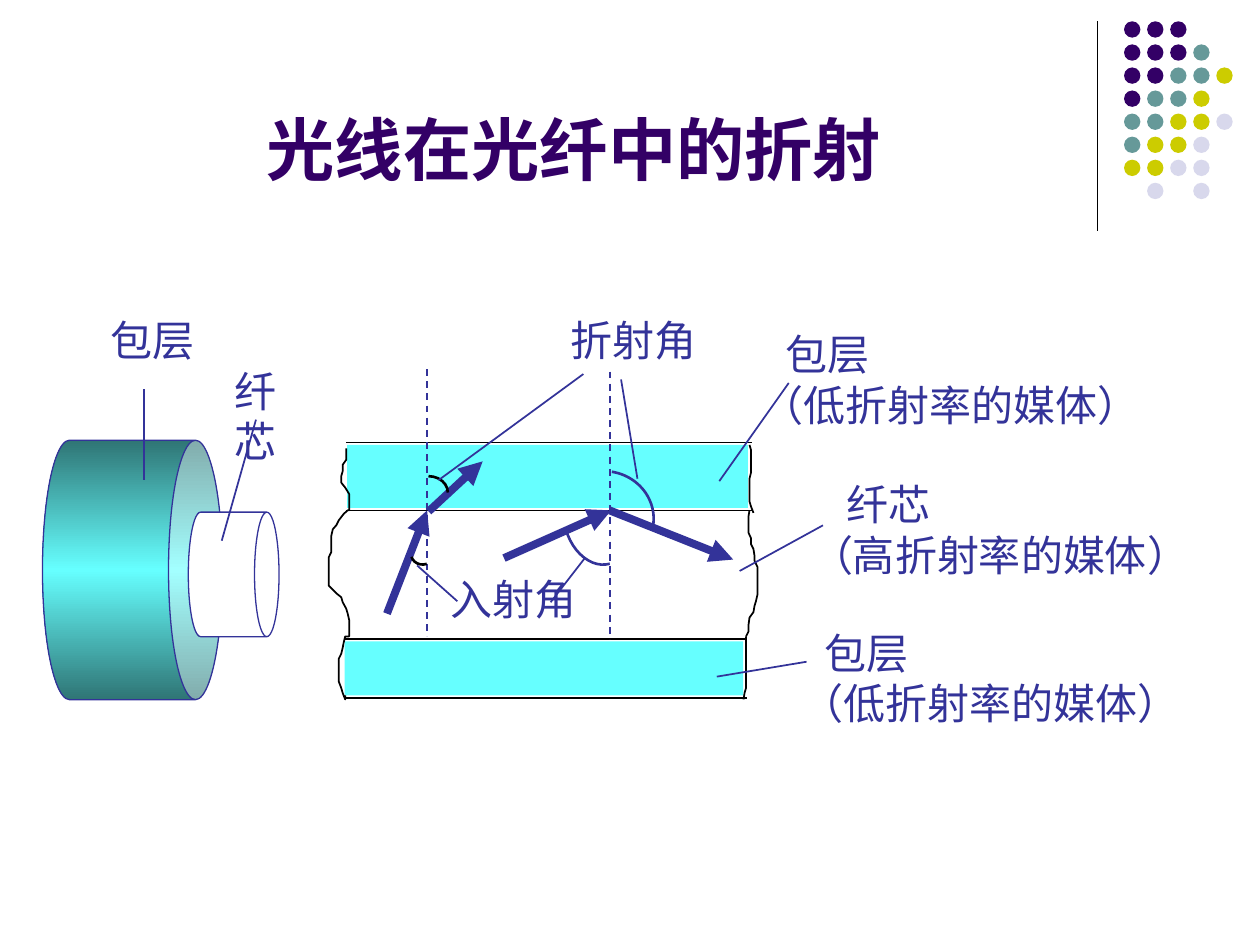
from copy import deepcopy

from pptx import Presentation
from pptx import util as u
from pptx.dml.color import RGBColor
from pptx.enum import dml, shapes, text
from pptx.oxml.ns import qn
from pptx.oxml.xmlchemy import OxmlElement

BLACK = RGBColor(0x00, 0x00, 0x00)
WHITE = RGBColor(0xFF, 0xFF, 0xFF)
PURPLE = RGBColor(0x33, 0x00, 0x66)
TEAL = RGBColor(0x66, 0x99, 0x99)
OLIVE = RGBColor(0xCC, 0xCC, 0x00)
LAVENDER = RGBColor(0xD8, 0xD8, 0xEC)
INDIGO = RGBColor(0x33, 0x33, 0x99)
CYAN = RGBColor(0x66, 0xFF, 0xFF)
DARK_CYAN = RGBColor(0x2F, 0x75, 0x75)

DOT_COLORS = {"P": PURPLE, "T": TEAL, "Y": OLIVE, "L": LAVENDER}
DOT_ROWS = ["PPP", "PPPT", "PPTTY", "PTTY", "TTYYL", "TYYL", "YYLL", "-L-L"]
DOT_PITCH = 1.86 / 4

LEFT_EDGE = [
    (0.38, 2.84), (0.38, 3.07), (0.31, 3.17), (0.31, 3.3), (0.28, 3.4), (0.28, 3.53),
    (0.36, 3.63), (0.44, 3.76), (0.44, 4.09), (0.41, 4.09), (0.33, 4.16), (0.23, 4.29),
    (0.18, 4.39), (0.11, 4.47), (0.08, 4.6), (0.08, 4.93), (0.03, 5.03), (0.03, 5.61),
    (0.11, 5.69), (0.18, 5.76), (0.28, 5.84), (0.31, 5.94), (0.38, 6.07), (0.41, 6.17),
    (0.44, 6.3), (0.44, 6.63), (0.36, 6.63), (0.33, 6.75), (0.31, 6.86), (0.28, 6.98),
    (0.23, 7.08), (0.23, 7.54), (0.28, 7.67), (0.31, 7.77), (0.36, 7.9), (0.36, 7.82)]
RIGHT_EDGES = [
    [(8.51, 2.77), (8.54, 2.87), (8.54, 3.33), (8.51, 3.45), (8.51, 3.91), (8.54, 4.01),
     (8.59, 4.14)],
    [(8.51, 4.09), (8.49, 4.21), (8.49, 4.54), (8.54, 4.65), (8.54, 4.77), (8.59, 4.87),
     (8.61, 5), (8.61, 5.1), (8.67, 5.23), (8.67, 5.79), (8.64, 5.92), (8.61, 6.02),
     (8.59, 6.14), (8.51, 6.25), (8.49, 6.4), (8.49, 6.53), (8.44, 6.63)],
    [(8.44, 6.63), (8.44, 7.67), (8.41, 7.77), (8.39, 7.9)]]


def place(box, point):
    """Turn a point in cm within a box into slide lengths."""
    return u.Cm(box[0] + point[0]), u.Cm(box[1] + point[1])


def style(shape, fill=None, line=None, width=0.75):
    shape.shadow.inherit = False
    if fill is None:
        shape.fill.background()
    else:
        shape.fill.solid()
        shape.fill.fore_color.rgb = fill
    if line is None:
        shape.line.fill.background()
    else:
        shape.line.color.rgb = line
        shape.line.width = u.Pt(width)


def add_shape(slide, kind, box, point, width, height):
    return slide.shapes.add_shape(kind, *place(box, point), u.Cm(width), u.Cm(height))


def add_centred(slide, kind, box, centre, width, height, rotation):
    corner = centre[0] - width / 2, centre[1] - height / 2
    shape = add_shape(slide, kind, box, corner, width, height)
    shape.rotation = rotation
    return shape


def add_line(slide, box, start, end, color=INDIGO, width=1, dashed=False, arrow=False):
    line = slide.shapes.add_connector(
        shapes.MSO_CONNECTOR.STRAIGHT, *place(box, start), *place(box, end))
    line.line.color.rgb = color
    line.line.width = u.Pt(width)
    if dashed:
        line.line.dash_style = dml.MSO_LINE.DASH
    if arrow:
        tail = OxmlElement("a:tailEnd")
        tail.set("type", "triangle")
        line.line._get_or_add_ln().append(tail)
    line._element.spPr.append(OxmlElement("a:effectLst"))


def add_outline(slide, box, points):
    start, *others = [place(box, point) for point in points]
    builder = slide.shapes.build_freeform(*start)
    builder.add_line_segments(others, close=False)
    style(builder.convert_to_shape(), line=BLACK, width=1)


def add_text(slide, box, point, width, height, lines, size=24, color=INDIGO, indent=0):
    """Add a text box, one paragraph a line; indent moves the first line in."""
    text_box = slide.shapes.add_textbox(*place(box, point), u.Cm(width), u.Cm(height))
    frame = text_box.text_frame
    frame.word_wrap = True
    for number, line in enumerate(lines):
        paragraph = frame.add_paragraph() if number else frame.paragraphs[0]
        if indent and not number:
            paragraph._p.get_or_add_pPr().set("marL", str(u.Cm(indent)))
        run = paragraph.add_run()
        run.text = line
        run.font.name = "Arial"
        run.font.size = u.Pt(size)
        run.font.color.rgb = color
    return frame


def add_title(slide, box):
    frame = add_text(slide, box, (0, 0), 20.96, 3.61, ["光线在光纤中的折射"], 39, PURPLE)
    frame.vertical_anchor = text.MSO_ANCHOR.BOTTOM
    paragraph = frame.paragraphs[0]
    paragraph.alignment = text.PP_ALIGN.CENTER
    paragraph.runs[0].font.bold = True


def add_dot_corner(slide, box):
    add_line(slide, box, (0, 0), (0, 4.22), BLACK, 0.75)
    for row, codes in enumerate(DOT_ROWS):
        for column, code in enumerate(codes):
            if code in DOT_COLORS:
                corner = 0.54 + column * DOT_PITCH, row * DOT_PITCH
                dot = add_shape(slide, shapes.MSO_SHAPE.OVAL, box, corner, 0.33, 0.33)
                style(dot, DOT_COLORS[code])


def fill_metallic(shape):
    """Fill with a dark, bright, dark gradient across the shape."""
    shape.fill.gradient()
    shape.fill.gradient_angle = 0
    first, last = shape.fill.gradient_stops
    first.color.rgb, first.position = DARK_CYAN, 0
    last.color.rgb, last.position = CYAN, 0.5
    stops = shape._element.spPr.find(qn("a:gradFill")).find(qn("a:gsLst"))
    end = deepcopy(stops[0])
    end.set("pos", "100000")
    stops.append(end)


def add_fibre_cylinder(slide, box):
    cladding = add_centred(slide, shapes.MSO_SHAPE.CAN, box, (1.87, 5.29), 5.23, 3.63, 90)
    cladding.adjustments[0] = 0.3
    style(cladding, CYAN, INDIGO)
    fill_metallic(cladding)
    core = add_centred(slide, shapes.MSO_SHAPE.CAN, box, (3.91, 5.38), 2.51, 1.83, 90)
    core.adjustments[0] = 0.27
    style(core, WHITE, INDIGO)
    add_text(slide, box, (1.18, 0.02), 2.5, 1.27, ["包层"])
    add_line(slide, box, (2.1, 1.65), (2.1, 3.48))
    add_text(slide, box, (3.67, 1.04), 1.93, 2.29, ["纤芯"])
    add_line(slide, box, (4.36, 2.26), (3.67, 4.7))


def add_cladding_layer(slide, box, width, height):
    """Add a cyan layer between two black lines."""
    for y in (0, height):
        add_line(slide, box, (0, y), (width, y), BLACK)
    layer = add_shape(slide, shapes.MSO_SHAPE.RECTANGLE, box, (0.02, 0.05),
                      width - 0.1, height - 0.1)
    style(layer, CYAN)


def add_fibre_section(slide, box):
    left, top = box
    add_cladding_layer(slide, (left + 0.38, top + 2.72), 8.18, 1.37)
    add_cladding_layer(slide, (left + 0.33, top + 6.68), 8.13, 1.19)
    for edge in [LEFT_EDGE, *RIGHT_EDGES]:
        add_outline(slide, box, edge)

    for x, y in [(2.01, 1.24), (5.69, 1.29)]:
        add_line(slide, box, (x, y), (x, y + 5.39), dashed=True)
    rays = [((2.04, 4.11), (3.13, 3.1)), ((1.2, 6.17), (2.01, 4.09)),
            ((3.56, 5.05), (5.72, 4.09)), ((5.69, 4.09), (8.18, 5.08))]
    for start, end in rays:
        add_line(slide, box, start, end, width=4.5, arrow=True)

    arcs = [((2.04, 3.73), 0.78, 0.66, 0, BLACK), ((1.93, 4.95), 0.5, 0.46, 162, BLACK),
            ((5.44, 4.29), 1.32, 1.82, 164, INDIGO), ((5.59, 4.24), 1.98, 1.88, 9, INDIGO)]
    for centre, width, height, rotation, color in arcs:
        arc = add_centred(slide, shapes.MSO_SHAPE.ARC, box, centre, width, height, rotation)
        style(arc, line=color, width=1.5)

    leaders = [((5.92, 1.45), (6.25, 3.45)), ((2.24, 3.48), (5.16, 1.34)),
               ((1.81, 5.2), (2.62, 5.92)), ((4.5, 5.94), (5.19, 5.05)),
               ((8.31, 5.31), (9.99, 4.39)), ((9.3, 1.52), (7.9, 3.5)),
               ((9.66, 7.14), (7.85, 7.44))]
    for start, end in leaders:
        add_line(slide, box, start, end)

    add_text(slide, box, (4.65, 0.02), 3.3, 1.27, ["折射角"])
    add_text(slide, box, (2.24, 5.23), 3.3, 1.27, ["入射角"])
    layers = [((8.51, 0.3), "包层", "（低折射率的媒体）", 0.47),
              ((9.5, 3.33), "纤芯", "（高折射率的媒体）", 0.71),
              ((9.3, 6.32), "包层", "（低折射率的媒体）", 0.47)]
    for point, name, medium, indent in layers:
        add_text(slide, box, point, 8.84, 2.29, [name, medium], indent=indent)


def main():
    presentation = Presentation()
    presentation.slide_width, presentation.slide_height = u.Cm(25.4), u.Cm(19.05)
    slide = presentation.slides.add_slide(presentation.slide_layouts[6])
    add_dot_corner(slide, (22.12, 0.43))
    add_title(slide, (1.09, 0.33))
    add_fibre_section(slide, (6.6, 6.2))
    add_fibre_cylinder(slide, (0.8, 6.2))
    presentation.save("out.pptx")


if __name__ == "__main__":
    main()
